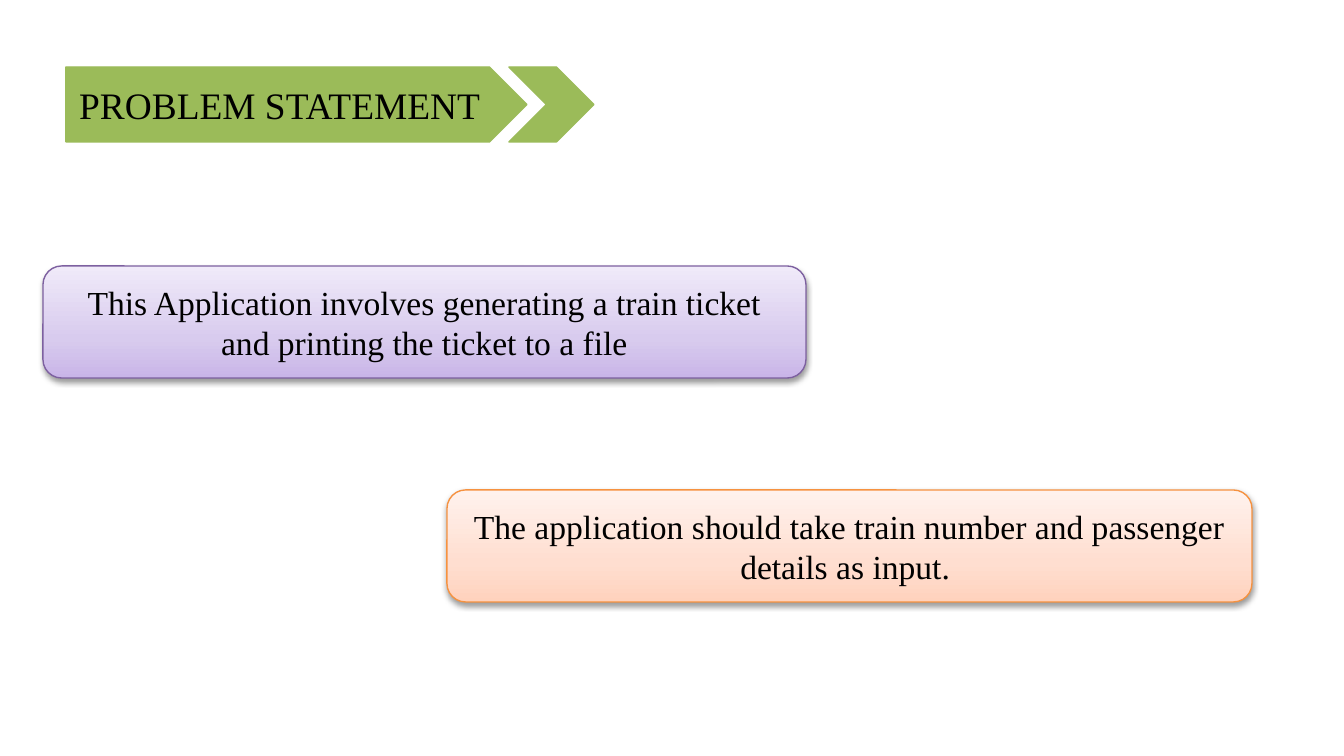
from copy import deepcopy

from lxml import etree
from pptx import Presentation
from pptx import util as u
from pptx.dml.color import RGBColor
from pptx.enum import shapes, text
from pptx.oxml.ns import qn

EMU_PER_PX = 914400 / 134.4
FONT = "Times New Roman"
GREEN = "9BBB59"
BLACK = "000000"


def px(length):
    return u.Emu(round(length * EMU_PER_PX))


def color(value):
    return RGBColor.from_string(value)


def add_block(slide, kind, box, outline):
    block = slide.shapes.add_shape(kind, *map(px, box))
    block.shadow.inherit = False
    block.line.color.rgb = color(outline)
    block.line.width = u.Pt(0.75)
    return block


def write(block, wording, size, align):
    frame = block.text_frame
    frame.word_wrap = True
    frame.vertical_anchor = text.MSO_ANCHOR.MIDDLE
    paragraph = frame.paragraphs[0]
    paragraph.text = wording
    paragraph.alignment = align
    paragraph.font.name = FONT
    paragraph.font.size = u.Pt(size)
    paragraph.font.color.rgb = color(BLACK)


def fill_gradient(block, stops):
    block.fill.gradient()
    block.fill.gradient_angle = 90
    first = block._element.spPr.find(".//" + qn("a:gs"))
    first.addnext(deepcopy(first))
    for stop, (position, value) in zip(block.fill.gradient_stops, stops):
        stop.position = position
        stop.color.rgb = color(value)


def cast_shadow(block):
    effects = block._element.spPr.find(qn("a:effectLst"))
    shadow = etree.SubElement(effects, qn("a:outerShdw"), blurRad="40000",
                              dist="20000", dir="5400000", rotWithShape="0")
    tint = etree.SubElement(shadow, qn("a:srgbClr"), val=BLACK)
    etree.SubElement(tint, qn("a:alpha"), val="38000")


def add_heading(slide, box, wording):
    left, top, width, height = box
    chevron_width = 85
    banner_width = width - chevron_width + 18
    parts = (
        (shapes.MSO_SHAPE.PENTAGON, left, banner_width),
        (shapes.MSO_SHAPE.CHEVRON, left + width - chevron_width, chevron_width),
    )
    banner, chevron = [
        add_block(slide, kind, (x, top, part_width, height), GREEN)
        for kind, x, part_width in parts
    ]
    for part in (banner, chevron):
        part.fill.solid()
        part.fill.fore_color.rgb = color(GREEN)
    write(banner, wording, 20, text.PP_ALIGN.LEFT)


def add_statement(slide, box, wording, outline, shades):
    card = add_block(slide, shapes.MSO_SHAPE.ROUNDED_RECTANGLE, box, outline)
    fill_gradient(card, zip((0, 0.35, 1), shades))
    cast_shadow(card)
    write(card, wording, 18, text.PP_ALIGN.CENTER)


def main():
    deck = Presentation()
    deck.slide_width, deck.slide_height = px(1344), px(756)
    slide = deck.slides.add_slide(deck.slide_layouts[6])
    add_heading(slide, (66, 67, 528, 75), "PROBLEM STATEMENT")
    add_statement(
        slide, (43, 266, 763, 112),
        "This Application involves generating a train ticket and printing the ticket to a file",
        "7D60A0", ("C9B5E8", "D8CBEE", "F0EAF9"))
    add_statement(
        slide, (447, 490, 805, 112),
        "The application should take train number and passenger details as input. ",
        "F69240", ("FFD2BD", "FFDED0", "FFF2ED"))
    deck.save("out.pptx")


if __name__ == "__main__":
    main()
